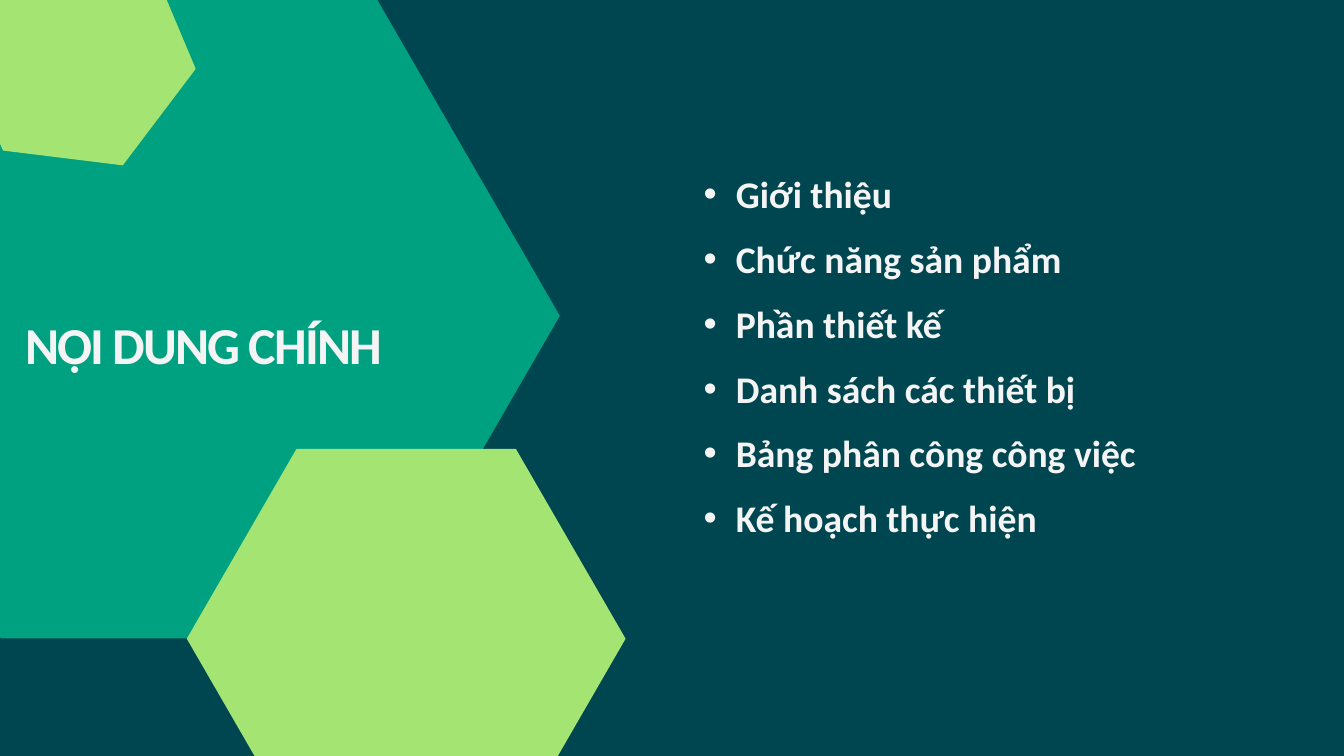
from dataclasses import dataclass
from math import cos, radians, sin

from lxml import etree
from pptx import Presentation
from pptx import util as u
from pptx.dml.color import RGBColor
from pptx.enum import text as t
from pptx.oxml.ns import qn

PX = u.Inches(1) // 100  # 100 px to the inch
COLORS = {"night": "004651", "teal": "00A181", "lime": "A4E473", "white": "F4F4F4"}
FONT = "Calibri"


@dataclass
class Hexagon:
    left: int
    top: int
    width: int
    height: int
    color: str
    turn: float = 0


BACK_HEXAGONS = [
    Hexagon(-276, -10, 1109, 960, "teal"),
    Hexagon(278, 668, 653, 565, "lime"),
]
CORNER_HEXAGON = Hexagon(-67, -75, 360, 311, "lime", 307.1)

TOPICS = [
    "Giới thiệu",
    "Chức năng sản phẩm",
    "Phần thiết kế",
    "Danh sách các thiết bị",
    "Bảng phân công công việc",
    "Kế hoạch thực hiện",
]
TOPIC_TOP, TOPIC_PITCH = 243, 96.6


def rgb(name: str) -> RGBColor:
    return RGBColor.from_string(COLORS[name])


def draw_hexagon(slide, hexagon: Hexagon) -> None:
    """Draw a flat-topped hexagon, turned clockwise about its centre."""
    half_w, half_h = hexagon.width / 2, hexagon.height / 2
    center_x, center_y = hexagon.left + half_w, hexagon.top + half_h
    c, s = cos(radians(hexagon.turn)), sin(radians(hexagon.turn))
    corners = [(half_w, 0), (half_w / 2, half_h), (-half_w / 2, half_h),
               (-half_w, 0), (-half_w / 2, -half_h), (half_w / 2, -half_h)]
    points = [(round((center_x + x * c - y * s) * PX),
               round((center_y + x * s + y * c) * PX)) for x, y in corners]
    builder = slide.shapes.build_freeform(*points[0])
    builder.add_line_segments(points[1:], close=True)
    shape = builder.convert_to_shape()
    shape.shadow.inherit = False
    shape.fill.solid()
    shape.fill.fore_color.rgb = rgb(hexagon.color)
    shape.line.fill.background()


def add_text(slide, content: str, left: int, top: int, width: int, height: int, *,
             size: float, leading: float, spacing: float = 0, bullet: str = "") -> None:
    box = slide.shapes.add_textbox(left * PX, top * PX, width * PX, height * PX)
    frame = box.text_frame
    frame.margin_left = frame.margin_top = frame.margin_right = frame.margin_bottom = 0
    frame.word_wrap = True
    frame.auto_size = t.MSO_AUTO_SIZE.SHAPE_TO_FIT_TEXT
    paragraph = frame.paragraphs[0]
    if bullet:
        paragraph.level = 1
        properties = paragraph._p.get_or_add_pPr()
        properties.set("marL", str(95 * PX))
        properties.set("indent", str(-48 * PX))
        etree.SubElement(properties, qn("a:buFont")).set("typeface", "Arial")
        etree.SubElement(properties, qn("a:buChar")).set("char", bullet)
    paragraph.line_spacing = u.Pt(leading)
    run = paragraph.add_run()
    run.text = content
    run.font.name = FONT
    run.font.size = u.Pt(size)
    run.font.bold = True
    run.font.color.rgb = rgb("white")
    if spacing:
        run._r.get_or_add_rPr().set("spc", str(round(spacing * 100)))


def main() -> None:
    deck = Presentation()
    deck.slide_width, deck.slide_height = 2000 * PX, 1125 * PX
    slide = deck.slides.add_slide(deck.slide_layouts[6])
    slide.background.fill.solid()
    slide.background.fill.fore_color.rgb = rgb("night")

    # Large hexagons behind the title
    for hexagon in BACK_HEXAGONS:
        draw_hexagon(slide, hexagon)

    # Title
    add_text(slide, "NỘI DUNG CHÍNH", 38, 465, 671, 93,
             size=55.5, leading=66.6, spacing=-2)

    # Topic list
    for row, topic in enumerate(TOPICS):
        add_text(slide, topic, 1000, TOPIC_TOP + round(row * TOPIC_PITCH), 916, 75,
                 size=40.3, leading=56.4, bullet="•")

    # Tilted hexagon in the corner
    draw_hexagon(slide, CORNER_HEXAGON)

    deck.save("out.pptx")


if __name__ == "__main__":
    main()
